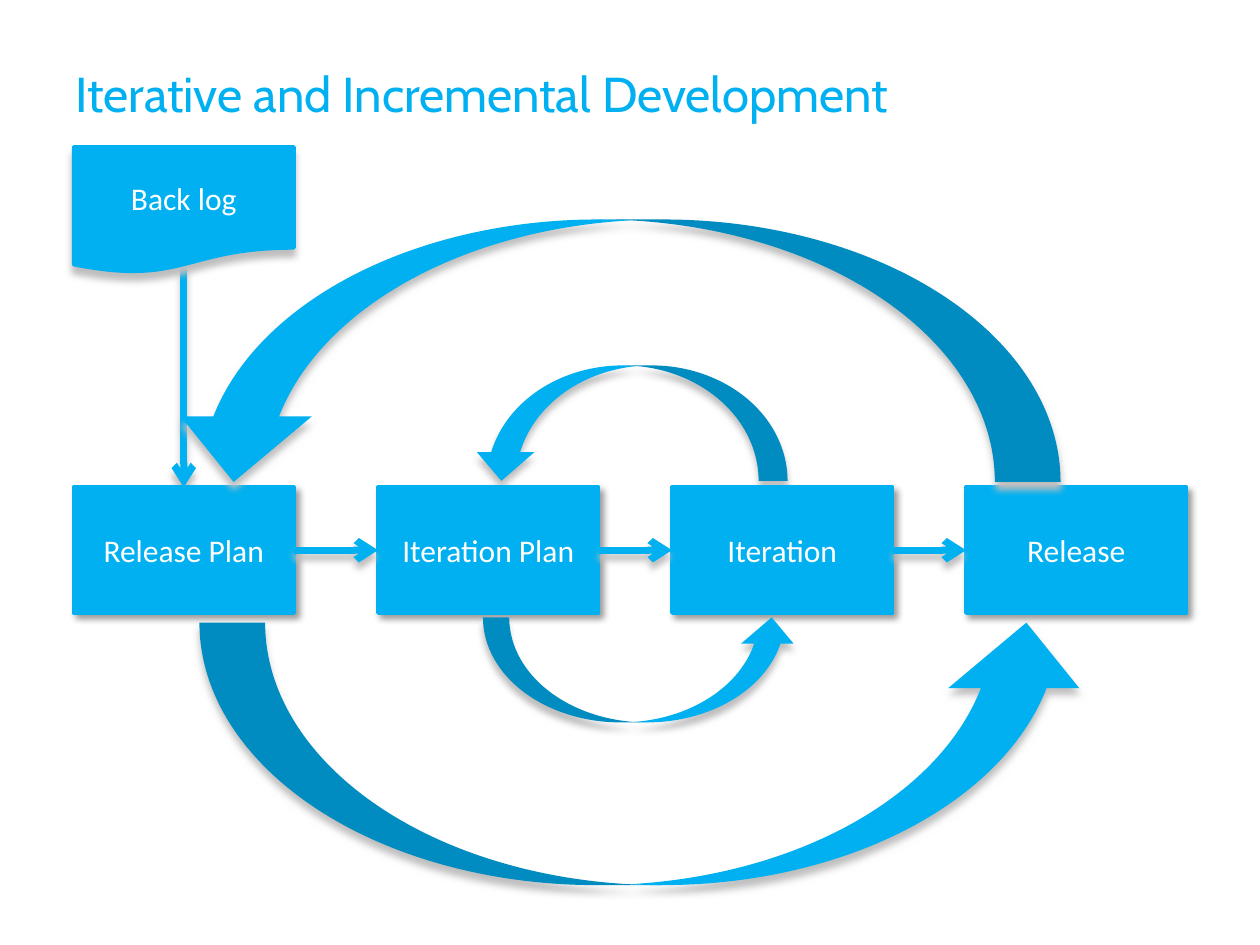
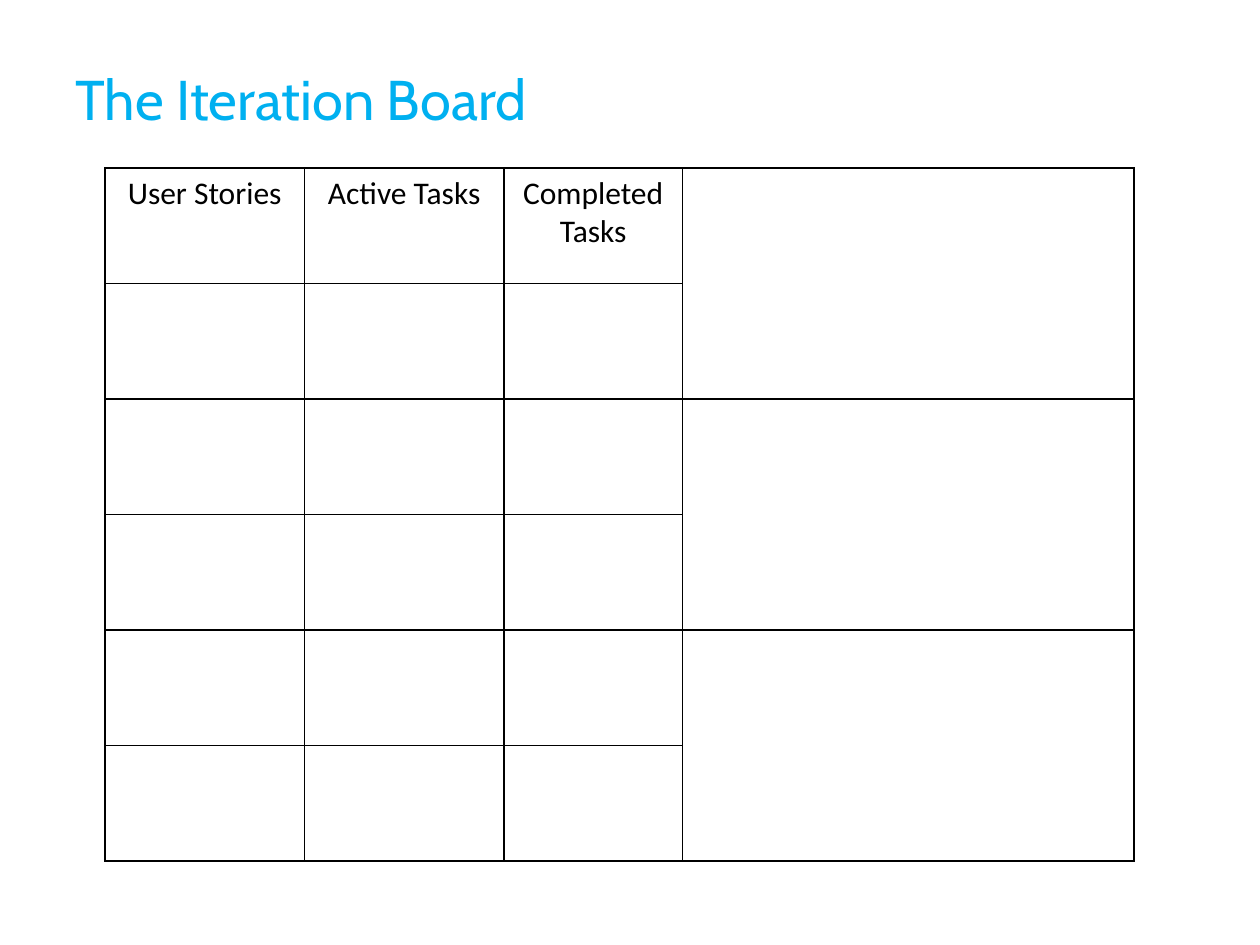
from lxml import etree
from pptx import Presentation
from pptx.dml.color import RGBColor
from pptx.enum.shapes import MSO_CONNECTOR, MSO_SHAPE
from pptx.enum.text import MSO_ANCHOR, PP_ALIGN
from pptx.oxml.ns import qn
from pptx.util import Pt

EMU_PER_PX = 7620
SLIDE_SIZE = (1200, 900)

BLUE = RGBColor(0x00, 0xB0, 0xF0)
WHITE = RGBColor(0xFF, 0xFF, 0xFF)
BLACK = RGBColor(0x00, 0x00, 0x00)
GREY = RGBColor(0xBF, 0xBF, 0xBF)

TITLE_FONT = "Cabin"
BODY_FONT = "Calibri"

BOX = MSO_SHAPE.RECTANGLE
DOCUMENT = MSO_SHAPE.FLOWCHART_DOCUMENT
CURVED_ARROW = MSO_SHAPE.CURVED_UP_ARROW
STRAIGHT = MSO_CONNECTOR.STRAIGHT
LEFT = PP_ALIGN.LEFT
CENTER = PP_ALIGN.CENTER
TOP = MSO_ANCHOR.TOP
MIDDLE = MSO_ANCHOR.MIDDLE

SOFT_SHADOW = {"color": GREY, "opacity": 100, "blur": 4, "distance": 4, "angle": 90}
BOX_SHADOW = {"color": BLACK, "opacity": 40, "blur": 4, "distance": 3, "angle": 45}


def px(length):
    return length * EMU_PER_PX


def add_xml(parent, tag, **attributes):
    return etree.SubElement(parent, qn(tag), {key: str(value) for key, value in attributes.items()})


def write(frame, text, size=18, font=BODY_FONT, color=WHITE, align=CENTER, anchor=MIDDLE):
    frame.word_wrap = True
    frame.vertical_anchor = anchor
    paragraph = frame.paragraphs[0]
    paragraph.alignment = align
    run = paragraph.add_run()
    run.text = text
    run.font.size = Pt(size)
    run.font.name = font
    run.font.color.rgb = color


def add_shadow(shape, color, opacity, blur, distance, angle):
    properties = shape.element.spPr
    effects = properties.find(qn("a:effectLst"))
    if effects is None:
        effects = add_xml(properties, "a:effectLst")
    shadow = add_xml(effects, "a:outerShdw", blurRad=Pt(blur), dist=Pt(distance),
                     dir=angle * 60000, algn="ctr", rotWithShape=0)
    shade = add_xml(shadow, "a:srgbClr", val=color)
    add_xml(shade, "a:alpha", val=opacity * 1000)


def add_borders(cell, color, width):
    properties = cell._tc.get_or_add_tcPr()
    for index, side in enumerate(("a:lnL", "a:lnR", "a:lnT", "a:lnB")):
        border = add_xml(properties, side, w=Pt(width))
        add_xml(add_xml(border, "a:solidFill"), "a:srgbClr", val=color)
        properties.insert(index, border)


class Deck:
    def __init__(self):
        self.presentation = Presentation()
        self.presentation.slide_width, self.presentation.slide_height = map(px, SLIDE_SIZE)
        self.slide = None

    def add_slide(self):
        self.slide = self.presentation.slides.add_slide(self.presentation.slide_layouts[6])

    def title(self, text, height, size):
        shape = self.slide.shapes.add_textbox(px(60), px(36), px(1080), px(height))
        write(shape.text_frame, text, size=size, font=TITLE_FONT, color=BLUE, align=LEFT)

    def shape(self, kind, left, top, width, height, shadow):
        shape = self.slide.shapes.add_shape(kind, px(left), px(top), px(width), px(height))
        shape.fill.solid()
        shape.fill.fore_color.rgb = BLUE
        shape.line.fill.background()
        shape.shadow.inherit = False
        add_shadow(shape, **shadow)
        return shape

    def box(self, text, left, top, width, height, kind=BOX, shadow=BOX_SHADOW):
        shape = self.shape(kind, left, top, width, height, shadow)
        shape.line.color.rgb = BLUE
        shape.line.width = Pt(2)
        write(shape.text_frame, text)

    def curved_arrow(self, left, top, width, height, rotation=0):
        shape = self.shape(CURVED_ARROW, left, top, width, height, SOFT_SHADOW)
        shape.rotation = rotation

    def arrow(self, start_x, start_y, end_x, end_y):
        connector = self.slide.shapes.add_connector(
            STRAIGHT, px(start_x), px(start_y), px(end_x), px(end_y))
        connector.line.color.rgb = BLUE
        connector.line.width = Pt(4)
        add_xml(connector.line._get_or_add_ln(), "a:tailEnd", type="arrow")
        add_shadow(connector, **SOFT_SHADOW)

    def table(self, left, top, widths, heights, headings):
        frame = self.slide.shapes.add_table(
            len(heights), len(widths), px(left), px(top), px(sum(widths)), px(sum(heights)))
        table = frame.table
        table.first_row = False
        table.horz_banding = False
        for column, width in zip(table.columns, widths):
            column.width = px(width)
        for row, height in zip(table.rows, heights):
            row.height = px(height)
        for cell in table.iter_cells():
            cell.fill.background()
            add_borders(cell, BLACK, 1)
        for column, heading in enumerate(headings):
            write(table.cell(0, column).text_frame, heading, color=BLACK, anchor=TOP)
        return table


def build_development_slide(deck):
    box_width, box_height, row_top = 210, 120, 464
    steps = [("Release Plan", 70), ("Iteration Plan", 360), ("Iteration", 640), ("Release", 920)]
    backlog_center = 175
    row_middle = row_top + box_height // 2

    deck.add_slide()
    deck.arrow(backlog_center, 252, backlog_center, row_top)
    deck.curved_arrow(450, 348, 300, 110, rotation=180)
    deck.title("Iterative and Incremental Development", height=104, size=28)
    deck.box("Back log", 70, 140, box_width, box_height, kind=DOCUMENT, shadow=SOFT_SHADOW)
    for text, left in steps:
        deck.box(text, left, row_top, box_width, box_height)
    for (_, left), (_, next_left) in zip(steps, steps[1:]):
        deck.arrow(left + box_width, row_middle, next_left, row_middle)
    deck.curved_arrow(460, 588, 300, 100)
    deck.curved_arrow(160, 209, 850, 250, rotation=180)
    deck.curved_arrow(190, 593, 850, 250)


def build_board_slide(deck):
    deck.add_slide()
    deck.title("The Iteration Board", height=114, size=32)
    board = deck.table(100, 160, widths=[190, 190, 170, 430], heights=[110] * 6,
                       headings=["User Stories", "Active Tasks", "Completed Tasks"])
    for row in range(0, 6, 2):
        board.cell(row, 3).merge(board.cell(row + 1, 3))


def main():
    deck = Deck()
    build_development_slide(deck)
    build_board_slide(deck)
    deck.presentation.save("out.pptx")


if __name__ == "__main__":
    main()
